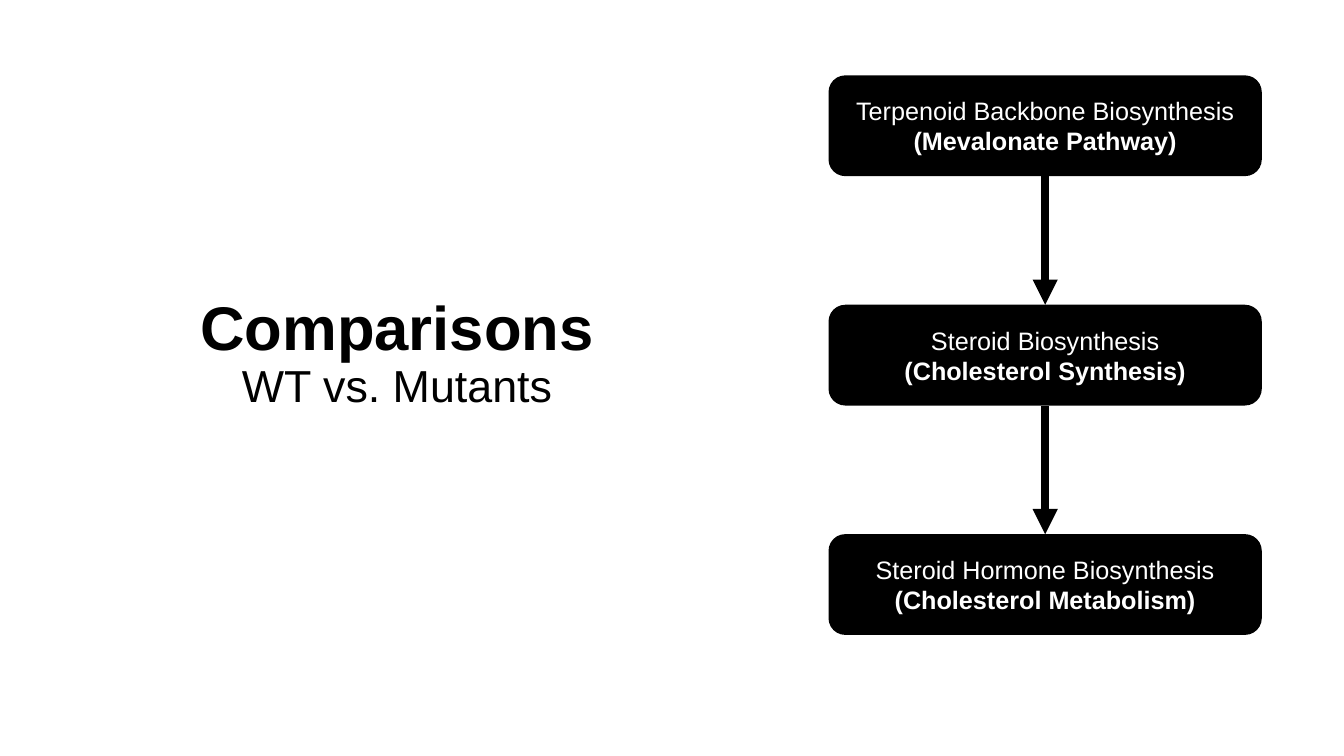
from dataclasses import dataclass

from lxml.etree import SubElement
from pptx import Presentation
from pptx.dml.color import RGBColor
from pptx.enum.shapes import MSO_CONNECTOR, MSO_SHAPE
from pptx.enum.text import MSO_ANCHOR as Anchor, MSO_AUTO_SIZE as AutoSize, PP_ALIGN as Align
from pptx.oxml.ns import qn
from pptx.shapes.autoshape import Shape
from pptx.slide import Slide
from pptx.text.text import _Paragraph as Paragraph
from pptx.util import Cm, Pt

COLORS = {"ink": "000000", "paper": "FFFFFF"}
FONT = "Arial"
BOX_LEFT, BOX_TOP, BOX_WIDTH, BOX_HEIGHT = 20.88, 1.9, 10.92, 2.54
BOX_PITCH = 5.78


@dataclass(frozen=True)
class Pathway:
    """A pathway with its common name."""

    name: str
    alias: str


PATHWAYS = [
    Pathway("Terpenoid Backbone Biosynthesis", "(Mevalonate Pathway)"),
    Pathway("Steroid Biosynthesis", "(Cholesterol Synthesis)"),
    Pathway("Steroid Hormone Biosynthesis", "(Cholesterol Metabolism)"),
]


def color(name: str) -> RGBColor:
    """Return a colour of the palette."""
    return RGBColor.from_string(COLORS[name])


def add_run(p: Paragraph, text: str, size: int, ink: str, bold: bool = False) -> None:
    """Add one formatted run to a paragraph."""
    r = p.add_run()
    r.text = text
    r.font.name = FONT
    r.font.size = Pt(size)
    r.font.bold = bold
    r.font.color.rgb = color(ink)


def set_title(s: Slide) -> None:
    """Place and fill the title placeholder."""
    sp = s.shapes.title
    sp.left, sp.top, sp.width, sp.height = Cm(2.24), Cm(4.98), Cm(15.54), Cm(7.92)
    tf = sp.text_frame
    tf.word_wrap = True
    tf.auto_size = AutoSize.NONE
    tf.vertical_anchor = Anchor.MIDDLE
    p = tf.paragraphs[0]
    p.alignment = Align.CENTER
    p.line_spacing = 0.9
    add_run(p, "Comparisons", 44, "ink", bold=True)
    p.add_line_break()
    add_run(p, "WT vs. Mutants", 32, "ink")


def add_box(s: Slide, pathway: Pathway, row: int) -> Shape:
    """Draw a pathway as a rounded box in the given row."""
    sp = s.shapes.add_shape(
        MSO_SHAPE.ROUNDED_RECTANGLE,
        Cm(BOX_LEFT), Cm(BOX_TOP + row * BOX_PITCH), Cm(BOX_WIDTH), Cm(BOX_HEIGHT),
    )
    sp.shadow.inherit = False
    sp.fill.solid()
    sp.fill.fore_color.rgb = color("ink")
    sp.line.fill.background()
    tf = sp.text_frame
    tf.word_wrap = True
    tf.vertical_anchor = Anchor.MIDDLE
    name, alias = tf.paragraphs[0], tf.add_paragraph()
    name.alignment = alias.alignment = Align.CENTER
    add_run(name, pathway.name, 18, "paper")
    add_run(alias, pathway.alias, 18, "paper", bold=True)
    return sp


def add_arrow(s: Slide, upper: Shape, lower: Shape) -> None:
    """Join two boxes with a downward arrow."""
    c = s.shapes.add_connector(MSO_CONNECTOR.STRAIGHT, 0, 0, 0, 0)
    c.begin_connect(upper, 2)
    c.end_connect(lower, 0)
    c.line.color.rgb = color("ink")
    c.line.width = Pt(6)
    SubElement(c.line._get_or_add_ln(), qn("a:tailEnd"), type="triangle")
    SubElement(c._element.spPr, qn("a:effectLst"))


def main() -> None:
    """Build and save the slide."""
    prs = Presentation()
    prs.slide_width, prs.slide_height = Cm(33.87), Cm(19.05)
    s = prs.slides.add_slide(prs.slide_layouts[5])
    set_title(s)
    boxes = [add_box(s, pathway, row) for row, pathway in enumerate(PATHWAYS)]
    for upper, lower in zip(boxes, boxes[1:]):
        add_arrow(s, upper, lower)
    prs.save("out.pptx")


if __name__ == "__main__":
    main()
